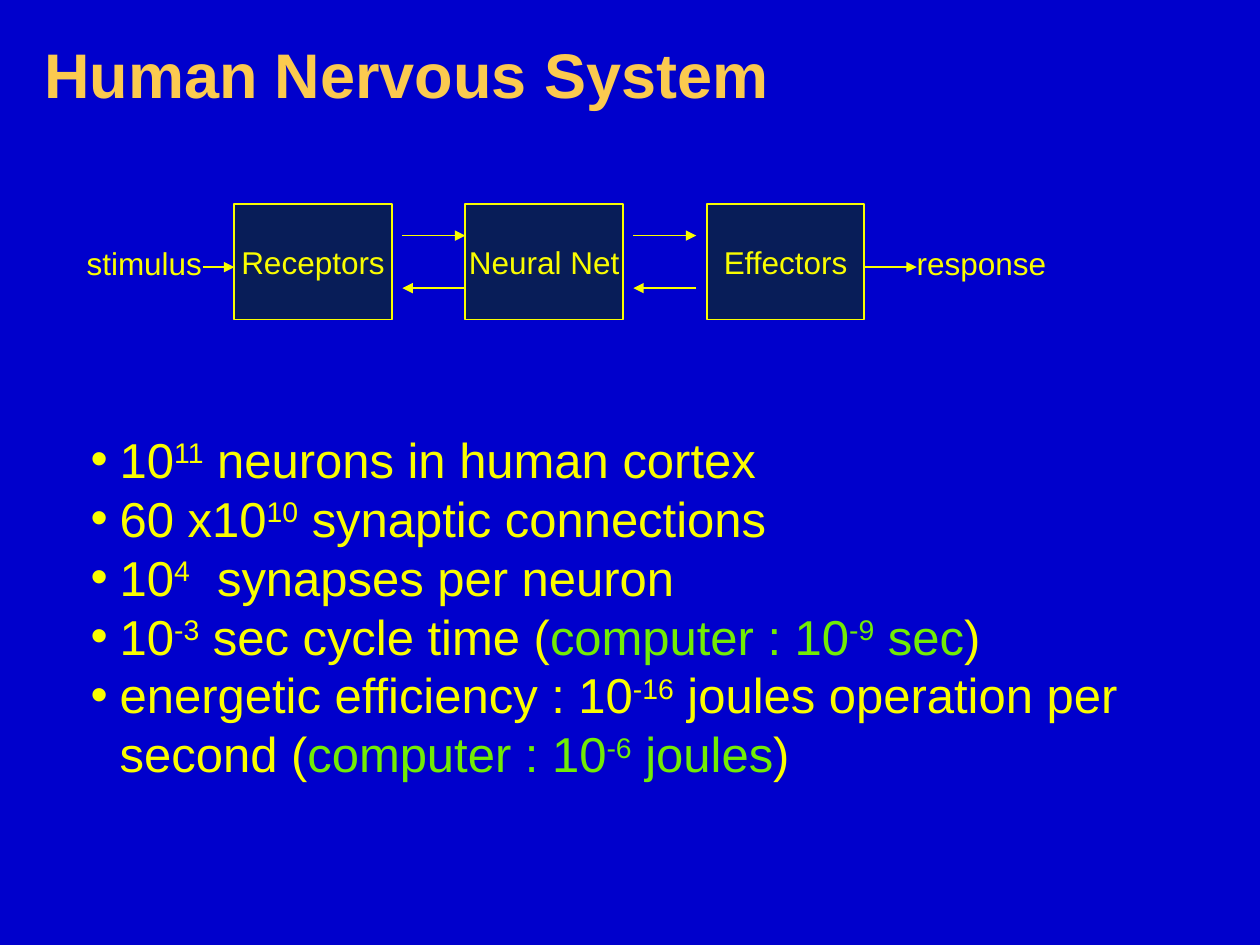
from lxml import etree
from pptx import Presentation
from pptx.dml.color import RGBColor
from pptx.enum.shapes import MSO_CONNECTOR, MSO_SHAPE
from pptx.enum.text import MSO_ANCHOR, MSO_AUTO_SIZE, PP_ALIGN
from pptx.oxml.ns import qn
from pptx.util import Inches, Pt

RECTANGLE = MSO_SHAPE.RECTANGLE
STRAIGHT = MSO_CONNECTOR.STRAIGHT
LEFT, CENTER = PP_ALIGN.LEFT, PP_ALIGN.CENTER
MIDDLE, TOP = MSO_ANCHOR.MIDDLE, MSO_ANCHOR.TOP
FIXED_SIZE, GROW = MSO_AUTO_SIZE.NONE, MSO_AUTO_SIZE.SHAPE_TO_FIT_TEXT

BLUE, NAVY, GOLD, YELLOW, GREEN = "0000CC", "081D58", "FBCA4F", "FAFD00", "72EC04"
FONT = "Arial"
CELL = 1 / 12  # diagram grid, in inches

# Stages: text, first column
STAGES = [("Receptors", 15), ("Neural Net", 37), ("Effectors", 60)]
STAGE_COLUMNS, STAGE_ROWS = 15, 11
# Labels: text, first column, columns
LABELS = [("stimulus", -0.25, 13.5), ("response", 78.8, 15)]
# Arrows: start column, end column, row
ARROWS = [
    (12, 15, 6), (31, 37, 3), (53, 59, 3),
    (59, 53, 8), (75, 80, 6), (37, 31, 8),
]
# ^ switches superscript on and off, ~ switches the comparison colour
FACTS = [
    "10^11^ neurons in human cortex",
    "60 x10^10^ synaptic connections",
    "10^4^  synapses per neuron",
    "10^-3^ sec cycle time (~computer : 10^-9^ sec~)",
    "energetic efficiency : 10^-16^ joules operation per second "
    "(~computer : 10^-6^ joules~)",
]


def color(value):
    return RGBColor.from_string(value)


def place(shape, box):
    shape.left, shape.top, shape.width, shape.height = map(Inches, box)


def style(paragraph, size, value, align=LEFT, bold=False):
    paragraph.alignment = align
    font = paragraph.font
    font.name, font.size, font.bold = FONT, Pt(size), bold
    font.color.rgb = color(value)


def add_title(slide, box, text):
    title = slide.shapes.title
    place(title, box)
    frame = title.text_frame
    frame.text = text
    frame.vertical_anchor = MIDDLE
    paragraph = frame.paragraphs[0]
    paragraph.line_spacing = 0.9
    style(paragraph, 36, GOLD, bold=True)


def add_arrow(shapes, start, end):
    connector = shapes.add_connector(STRAIGHT, *map(Inches, start + end))
    connector.line.color.rgb = color(YELLOW)
    connector.line.width = Pt(1)
    etree.SubElement(connector.line._get_or_add_ln(), qn("a:tailEnd"), type="triangle")
    etree.SubElement(connector._element.spPr, qn("a:effectLst"))


def write_label(shape, text, align, auto_size):
    frame = shape.text_frame
    frame.text = text
    frame.word_wrap = False
    frame.auto_size = auto_size
    style(frame.paragraphs[0], 18, YELLOW, align)


def add_diagram(slide, left, top):
    """Draw the stimulus-to-response chain on a grid that starts at left, top."""
    shapes = slide.shapes.add_group_shape().shapes

    def point(column, row):
        return left + column * CELL, top + row * CELL

    for text, column in STAGES:
        size = STAGE_COLUMNS * CELL, STAGE_ROWS * CELL
        stage = shapes.add_shape(RECTANGLE, *map(Inches, point(column, 0) + size))
        stage.shadow.inherit = False
        stage.fill.solid()
        stage.fill.fore_color.rgb = color(NAVY)
        stage.line.color.rgb = color(YELLOW)
        stage.line.width = Pt(1)
        stage.text_frame.vertical_anchor = MIDDLE
        write_label(stage, text, CENTER, FIXED_SIZE)
    for text, column, columns in LABELS:
        size = columns * CELL, 0.4
        label = shapes.add_textbox(*map(Inches, point(column, 3.25) + size))
        write_label(label, text, LEFT, GROW)
    for start, end, row in ARROWS:
        add_arrow(shapes, point(start, row), point(end, row))


def add_bullet(paragraph):
    properties = paragraph._p.get_or_add_pPr()
    properties.set("marL", str(Inches(0.5)))
    properties.set("indent", str(Inches(-0.23)))
    bullet_color = etree.SubElement(properties, qn("a:buClr"))
    etree.SubElement(bullet_color, qn("a:srgbClr"), val=YELLOW)
    etree.SubElement(properties, qn("a:buFont"), typeface=FONT)
    etree.SubElement(properties, qn("a:buChar"), char="•")


def add_marked_runs(paragraph, text):
    for i, phrase in enumerate(text.split("~")):
        for j, part in enumerate(phrase.split("^")):
            run = paragraph.add_run()
            run.text = part
            if i % 2:
                run.font.color.rgb = color(GREEN)
            if j % 2:
                run._r.get_or_add_rPr().set("baseline", "30000")


def add_facts(slide, box, facts):
    body = slide.placeholders[1]
    place(body, box)
    frame = body.text_frame
    frame.word_wrap = True
    frame.auto_size = FIXED_SIZE
    frame.vertical_anchor = TOP
    for index, fact in enumerate(facts):
        paragraph = frame.add_paragraph() if index else frame.paragraphs[0]
        paragraph.level = 1
        paragraph.line_spacing = 1.0
        paragraph.space_before = paragraph.space_after = Pt(0)
        add_bullet(paragraph)
        style(paragraph, 28, YELLOW)
        add_marked_runs(paragraph, fact)


def main():
    presentation = Presentation()
    presentation.slide_width, presentation.slide_height = Inches(10), Inches(7.5)
    slide = presentation.slides.add_slide(presentation.slide_layouts[1])
    slide.background.fill.solid()
    slide.background.fill.fore_color.rgb = color(BLUE)
    add_title(slide, (0.25, 0.25, 9.5, 0.74), "Human Nervous System")
    add_diagram(slide, 0.61, 1.62)
    add_facts(slide, (0.35, 3.36, 8.66, 2.9), FACTS)
    presentation.save("out.pptx")


if __name__ == "__main__":
    main()
